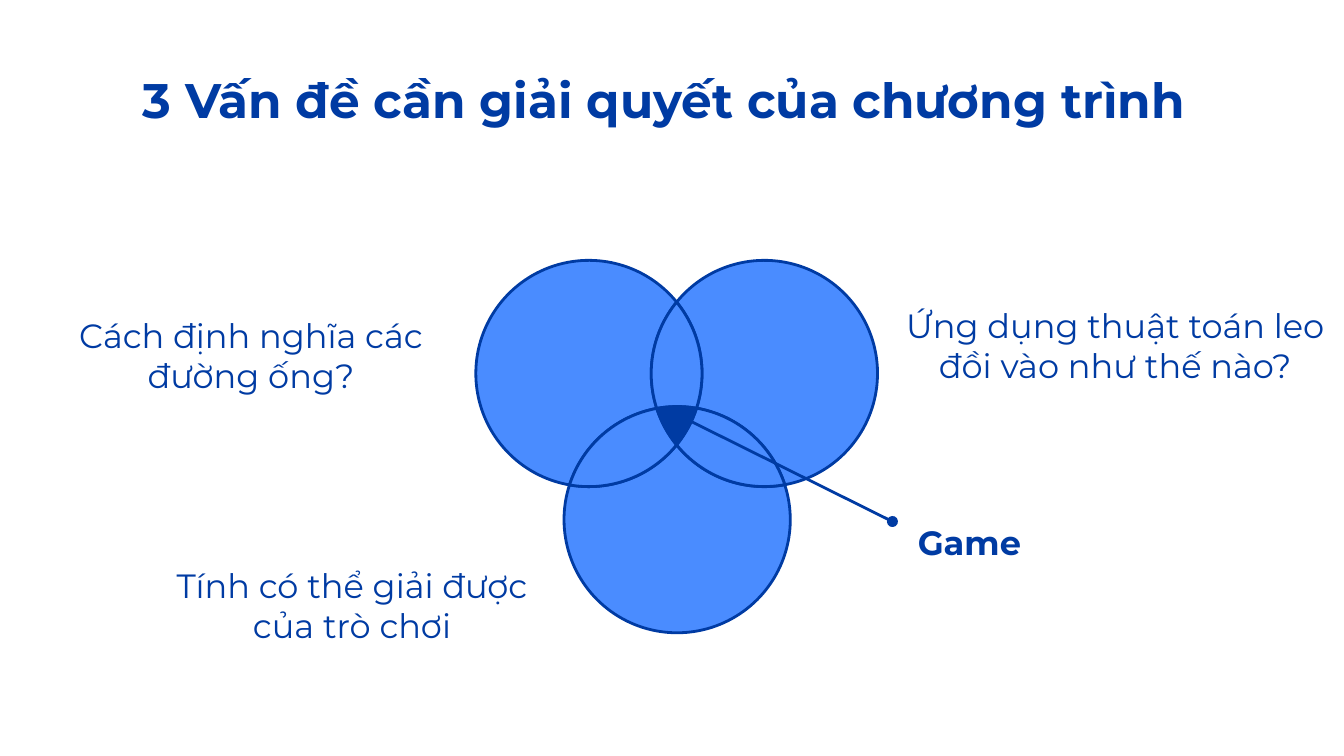
from math import atan2, ceil, copysign, cos, hypot, pi, sin, tan

from lxml.etree import SubElement
from pptx import Presentation
from pptx.dml.color import RGBColor
from pptx.enum.shapes import MSO_CONNECTOR
from pptx.enum.text import PP_ALIGN
from pptx.oxml.ns import qn
from pptx.util import Pt

NAVY = RGBColor(0x00, 0x3B, 0xA3)
BLUE = RGBColor(0x4A, 0x8C, 0xFF)
FONT = "Montserrat"
MID, LEFT = PP_ALIGN.CENTER, PP_ALIGN.LEFT

# Text: words, (left, top, width, height), size, bold, align, space after
TEXTS = [
    ("3 Vấn đề cần giải quyết của chương trình ",
     (56.2, 30.2, 607, 73.4), 26, True, MID, 0),
    ("Tính có thể giải được của trò chơi",
     (78.5, 295.2, 220.3, 69.8), 18, False, MID, 16),
    ("Cách định nghĩa các đường ống?",
     (24.4, 161.3, 220.3, 53.3), 18, False, MID, 16),
    ("Ứng dụng thuật toán leo đồi vào như thế nào?",
     (477.9, 156.2, 239.2, 68.4), 18, False, MID, 16),
    ("Game", (484.6, 272.6, 71.5, 32.4), 18, True, LEFT, 16),
]

# Venn circles: left, right, bottom
RADIUS = 60.6
CIRCLES = {"L": (315.5, 200.1), "R": (409.5, 200.1), "B": (362.8, 278.4)}

# Regions: corner names in turn, and the circle each edge follows.
# "+" marks the long way round the circle.
REGIONS = [
    (["top", "west", "inner west"], ["L+", "B", "R"], BLUE),
    (["top", "east", "inner east"], ["R+", "B", "L"], BLUE),
    (["top", "inner west", "inner east"], ["R", "B", "L"], BLUE),
    (["low", "west", "east"], ["L", "B+", "R"], BLUE),
    (["inner west", "west", "low"], ["B", "L", "R"], BLUE),
    (["inner east", "low", "east"], ["L", "R", "B"], BLUE),
    (["inner west", "inner east", "low"], ["B", "L", "R"], NAVY),
]
POINTER = (363.6, 222.5, 478.1, 279.4)


def meet(one, two):
    """Both crossings of two equal circles, upper one first."""
    (ax, ay), (bx, by) = CIRCLES[one], CIRCLES[two]
    dx, dy = bx - ax, by - ay
    gap = hypot(dx, dy)
    rise = (RADIUS ** 2 - gap ** 2 / 4) ** 0.5 / gap
    mx, my = (ax + bx) / 2, (ay + by) / 2
    ends = [(mx + dy * rise, my - dx * rise), (mx - dy * rise, my + dx * rise)]
    return sorted(ends, key=lambda end: end[1])


def arc(edge, start, end):
    """Bezier points along a circle, three for each quarter turn or less."""
    cx, cy = CIRCLES[edge[0]]
    first = atan2(start[1] - cy, start[0] - cx)
    turn = atan2(end[1] - cy, end[0] - cx) - first
    turn = (turn + pi) % (2 * pi) - pi
    if edge.endswith("+"):
        turn -= copysign(2 * pi, turn)
    count = ceil(abs(turn) / (pi / 2))
    step = turn / count
    pull = 4 / 3 * tan(step / 4)

    def spot(angle, lean):
        x = cx + RADIUS * (cos(angle) - lean * sin(angle))
        y = cy + RADIUS * (sin(angle) + lean * cos(angle))
        return Pt(x), Pt(y)

    points = []
    for i in range(count):
        a, b = first + step * i, first + step * (i + 1)
        points += [spot(a, pull), spot(b, -pull), spot(b, 0)]
    return points


def add_text(slide, words, box, size, bold, align, after):
    frame = slide.shapes.add_textbox(*map(Pt, box)).text_frame
    frame.word_wrap = True
    frame.margin_left = frame.margin_right = Pt(7.2)
    frame.margin_top = frame.margin_bottom = Pt(7.2)
    para = frame.paragraphs[0]
    para.alignment, para.space_after = align, Pt(after)
    run = para.add_run()
    run.text = words
    font = run.font
    font.name, font.size, font.bold = FONT, Pt(size), bold
    font.color.rgb = NAVY


def curve(shape):
    """Turn each three line segments into one Bezier curve."""
    lines = list(shape._element.iter(qn("a:lnTo")))
    for i in range(0, len(lines), 3):
        bend = lines[i]
        bend.addprevious(bend.makeelement(qn("a:cubicBezTo")))
        cubic = bend.getprevious()
        for line in lines[i:i + 3]:
            cubic.append(line[0])
            line.getparent().remove(line)


def add_venn(slide):
    top, low = meet("L", "R")
    inner_east, west = meet("L", "B")
    inner_west, east = meet("R", "B")
    spots = {"top": top, "low": low, "west": west, "east": east,
             "inner west": inner_west, "inner east": inner_east}
    group = slide.shapes.add_group_shape()
    for names, edges, fill in REGIONS:
        ends = names[1:] + names[:1]
        points = []
        for edge, start, end in zip(edges, names, ends):
            points += arc(edge, spots[start], spots[end])
        build = group.shapes.build_freeform(*map(Pt, spots[names[0]]))
        build.add_line_segments(points, close=True)
        shape = build.convert_to_shape()
        curve(shape)
        shape.shadow.inherit = False
        shape.fill.solid()
        shape.fill.fore_color.rgb = fill
        shape.line.color.rgb = NAVY
        shape.line.width = Pt(1.5)


def add_pointer(slide):
    line = slide.shapes.add_connector(MSO_CONNECTOR.STRAIGHT, *map(Pt, POINTER))
    line.line.color.rgb = NAVY
    line.line.width = Pt(1.5)
    props = line._element.spPr
    SubElement(props.find(qn("a:ln")), qn("a:tailEnd"), type="oval")
    SubElement(props, qn("a:effectLst"))


def main():
    deck = Presentation()
    deck.slide_width, deck.slide_height = Pt(720), Pt(405)
    slide = deck.slides.add_slide(deck.slide_layouts[6])
    for text in TEXTS:
        add_text(slide, *text)
    add_venn(slide)
    add_pointer(slide)
    deck.save("out.pptx")


if __name__ == "__main__":
    main()
